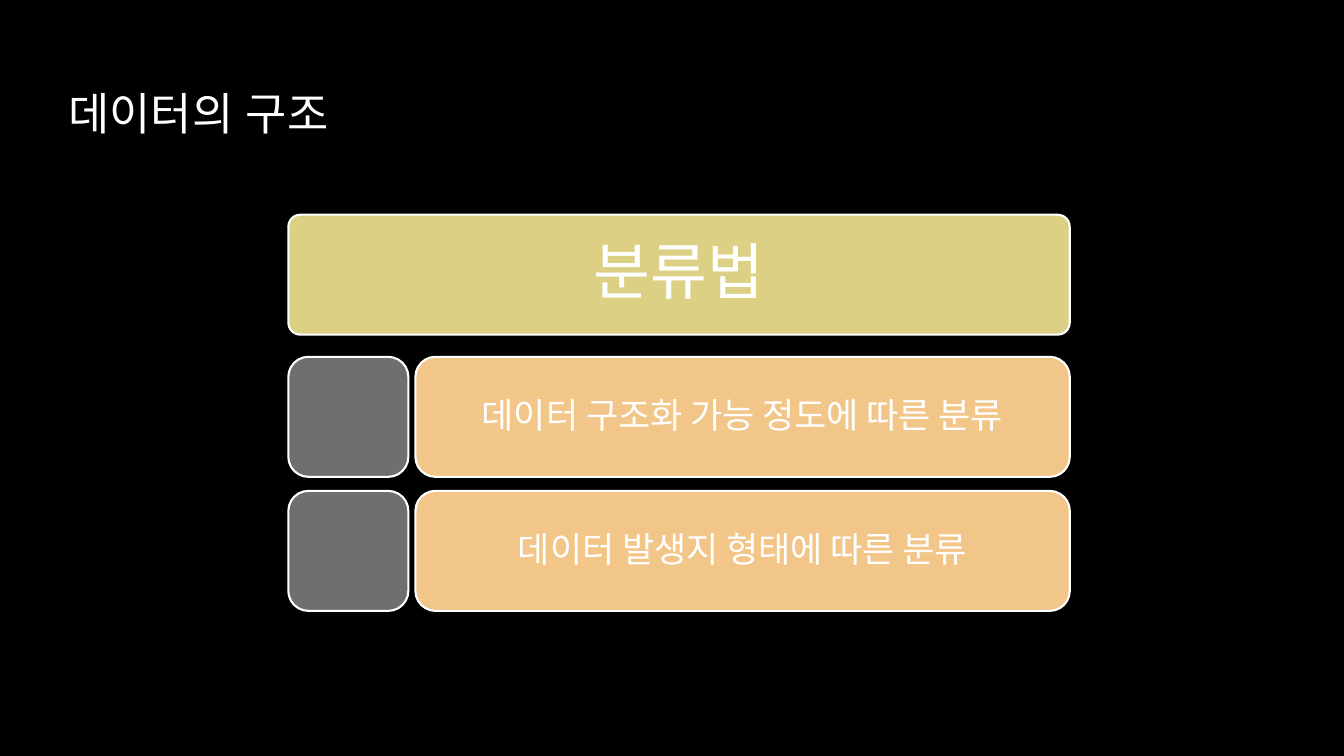
from lxml import etree
from pptx import Presentation
from pptx.dml.color import RGBColor
from pptx.enum.shapes import MSO_SHAPE
from pptx.enum.text import MSO_ANCHOR, PP_ALIGN
from pptx.oxml.ns import qn
from pptx.util import Inches, Pt

WHITE = "FFFFFF"
HEADING_FONT = "Quicksand"
BODY_FONT = "Noto Sans CJK KR"

LEFT, WIDTH, HEIGHT = 2.86, 7.75, 1.19
LABEL_LEFT = 4.12
ROW_TOP, ROW_STEP = 3.54, 1.33
TOPICS = ["데이터 구조화 가능 정도에 따른 분류", "데이터 발생지 형태에 따른 분류"]


def color(value):
    return RGBColor.from_string(value)


def add_run(p, text, size, font):
    r = p.add_run()
    r.text = text
    r.font.size = Pt(size)
    r.font.color.rgb = color(WHITE)
    r.font.name = font
    # East Asian typeface for the Korean text
    etree.SubElement(r.font._element, qn("a:ea"), typeface=font)


def add_title(s, text):
    sp = s.shapes.add_textbox(Inches(0.58), Inches(0.73), Inches(11.94), Inches(0.77))
    tf = sp.text_frame
    tf.word_wrap = True
    tf.vertical_anchor = MSO_ANCHOR.MIDDLE
    add_run(tf.paragraphs[0], text, 32, HEADING_FONT)


def add_card(s, left, top, width, fill, radius=0.167):
    sp = s.shapes.add_shape(MSO_SHAPE.ROUNDED_RECTANGLE, Inches(left), Inches(top),
                            Inches(width), Inches(HEIGHT))
    sp.adjustments[0] = radius
    sp.shadow.inherit = False
    sp.fill.solid()
    sp.fill.fore_color.rgb = color(fill)
    sp.line.color.rgb = color(WHITE)
    sp.line.width = Pt(1.5)
    return sp


def add_card_text(sp, text, size, font):
    tf = sp.text_frame
    tf.word_wrap = True
    tf.vertical_anchor = MSO_ANCHOR.MIDDLE
    p = tf.paragraphs[0]
    p.alignment = PP_ALIGN.CENTER
    p.line_spacing = 0.9
    add_run(p, text, size, font)


def main():
    prs = Presentation()
    prs.slide_width, prs.slide_height = Inches(13.33), Inches(7.5)
    s = prs.slides.add_slide(prs.slide_layouts[6])
    s.background.fill.solid()
    s.background.fill.fore_color.rgb = color("000000")

    add_title(s, "데이터의 구조")

    # Heading card
    heading = add_card(s, LEFT, 2.13, WIDTH, "DCD084", 0.1)
    add_card_text(heading, "분류법", 44, HEADING_FONT)

    # One square and one label card per topic
    for i, topic in enumerate(TOPICS):
        top = ROW_TOP + i * ROW_STEP
        add_card(s, LEFT, top, HEIGHT, "6F6F6F")
        label = add_card(s, LABEL_LEFT, top, LEFT + WIDTH - LABEL_LEFT, "F2C688")
        add_card_text(label, topic, 25, BODY_FONT)

    prs.save("out.pptx")


if __name__ == "__main__":
    main()
